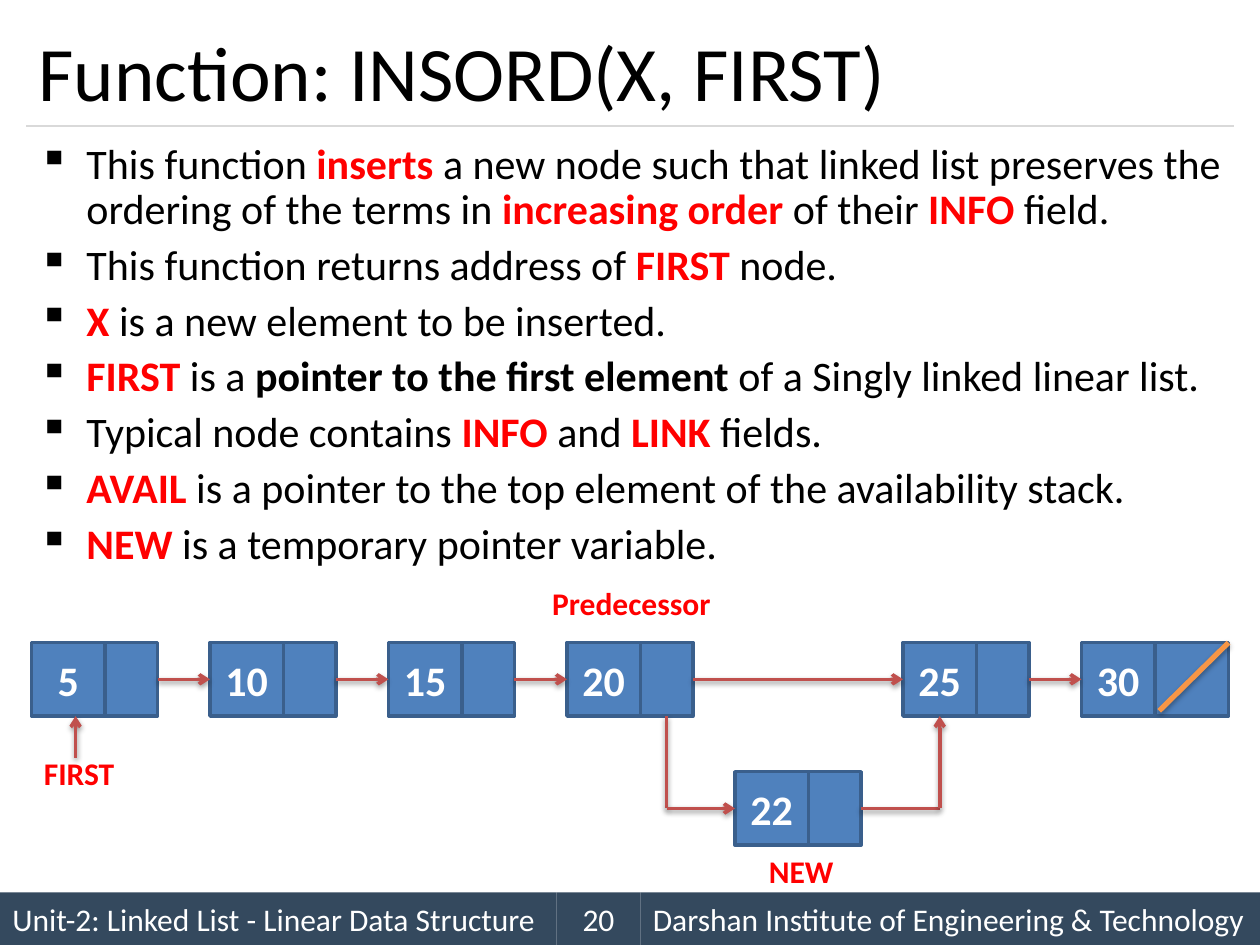
from lxml import etree
from pptx import Presentation
from pptx import util as u
from pptx.dml.color import RGBColor
from pptx.enum import shapes, text
from pptx.oxml import ns

COLUMNS, ROWS = 240, 180
FONT = "Calibri"
BLACK, WHITE, RED = "000000", "FFFFFF", "FF0000"
NAVY, BLUE, EDGE, ARROW, ORANGE, GREY = "34495E", "4F81BD", "3A5F8C", "C0504D", "F79646", "D9D9D9"
MARKS = {"!": (RED, True), "^": (BLACK, True)}
POINTS = [
    "This function |!inserts| a new node such that linked list preserves the "
    "ordering of the terms in |!increasing order |of their |!INFO |field.",
    "This function returns address of |!FIRST |node.",
    "!X| is a new element to be inserted.",
    "!FIRST| is a |^pointer to the first element| of a Singly linked linear list.",
    "Typical node contains |!INFO |and |!LINK |fields.",
    "!AVAIL |is a pointer to the top element of the availability stack.",
    "!NEW |is a temporary pointer variable.",
]
INFO, LINK, HEIGHT = 14, 10, 14
LIST_TOP, NEW_TOP = 122.4, 147
LIST_MIDDLE, LIST_BOTTOM, NEW_MIDDLE = LIST_TOP + HEIGHT / 2, LIST_TOP + HEIGHT, NEW_TOP + HEIGHT / 2
NODES = {"5": 6, "10": 40, "15": 74, "20": 108, "25": 172, "30": 206}
NEW_LEFT = 140


def color(value):
    return RGBColor.from_string(value)


def add_xml(parent, tag, **attributes):
    return etree.SubElement(parent, ns.qn(tag), attributes)


class Slide:
    def __init__(self, deck):
        self.deck = deck
        self.page = deck.slides.add_slide(deck.slide_layouts[6])

    def x(self, column):
        return round(self.deck.slide_width * column / COLUMNS)

    def y(self, row):
        return round(self.deck.slide_height * row / ROWS)

    def area(self, left, top, width, height):
        return self.x(left), self.y(top), self.x(width), self.y(height)

    def style(self, span, size, shade, bold=False):
        span.font.name, span.font.size, span.font.bold = FONT, u.Pt(size), bold
        span.font.color.rgb = color(shade)

    def set_words(self, box, words, size, shade, bold=False, align=text.PP_ALIGN.LEFT):
        box.text_frame.text = words
        box.text_frame.vertical_anchor = text.MSO_ANCHOR.MIDDLE
        para = box.text_frame.paragraphs[0]
        para.alignment = align
        self.style(para.runs[0], size, shade, bold)

    def shadow(self, shape, alpha, blur, distance, degrees):
        effects = add_xml(shape._element.spPr, "a:effectLst")
        if alpha:
            outer = add_xml(effects, "a:outerShdw", blurRad=str(u.Pt(blur)), dist=str(u.Pt(distance)),
                            dir=str(degrees * 60000), rotWithShape="0")
            add_xml(add_xml(outer, "a:srgbClr", val=BLACK), "a:alpha", val=str(alpha * 1000))

    def rectangle(self, area, fill, edge=None):
        box = self.page.shapes.add_shape(shapes.MSO_SHAPE.RECTANGLE, *self.area(*area))
        box.shadow.inherit = False
        box.fill.solid()
        box.fill.fore_color.rgb = color(fill)
        if edge:
            box.line.color.rgb, box.line.width = color(edge), u.Pt(2)
        else:
            box.line.fill.background()
        return box

    def footer(self, left, width, words, align=text.PP_ALIGN.LEFT):
        self.set_words(self.rectangle((left, 170, width, 10), NAVY), words, 18, WHITE, align=align)

    def label(self, area, words, size, shade, bold=False, wrap=False, align=text.PP_ALIGN.LEFT):
        box = self.page.shapes.add_textbox(*self.area(*area))
        box.text_frame.word_wrap = wrap
        self.set_words(box, words, size, shade, bold, align)

    def bullets(self, area, points):
        frame = self.page.shapes.add_textbox(*self.area(*area)).text_frame
        frame.word_wrap = True
        for index, point in enumerate(points):
            para = frame.add_paragraph() if index else frame.paragraphs[0]
            properties = para._p.get_or_add_pPr()
            properties.set("marL", str(u.Inches(0.38)))
            properties.set("indent", str(u.Inches(-0.38)))
            add_xml(add_xml(properties, "a:buClr"), "a:srgbClr", val=BLACK)
            add_xml(properties, "a:buChar", char="▪")
            para.alignment = text.PP_ALIGN.JUSTIFY
            para.line_spacing = 0.9
            if index:
                para.space_before = u.Pt(6)
            for part in point.split("|"):
                shade, bold = MARKS.get(part[0], (BLACK, False))
                span = para.add_run()
                span.text = part.lstrip("!^")
                self.style(span, 24, shade, bold)

    def line(self, start, end, shade=ARROW, width=2, head=False, alpha=38):
        connector = self.page.shapes.add_connector(
            shapes.MSO_CONNECTOR.STRAIGHT, self.x(start[0]), self.y(start[1]), self.x(end[0]), self.y(end[1]))
        connector.line.color.rgb, connector.line.width = color(shade), u.Pt(width)
        if head:
            add_xml(connector.line._ln, "a:tailEnd", type="arrow")
        self.shadow(connector, alpha, 3.1, 1.6, 90)

    def route(self, *stops):
        for index, (start, end) in enumerate(zip(stops, stops[1:])):
            self.line(start, end, head=index == len(stops) - 2)

    def node(self, left, top, value, link=LINK):
        box = self.rectangle((left, top, INFO, HEIGHT), BLUE, EDGE)
        self.set_words(box, value, 24, WHITE, True, text.PP_ALIGN.CENTER)
        self.rectangle((left + INFO, top, link, HEIGHT), BLUE, EDGE)


def main():
    deck = Presentation()
    deck.slide_width, deck.slide_height = u.Inches(10), u.Inches(7.5)
    slide = Slide(deck)
    center = text.PP_ALIGN.CENTER

    slide.footer(0, 106, "Unit-2: Linked List - Linear Data Structure")
    slide.footer(122, 118, "Darshan Institute of Engineering & Technology")
    slide.footer(106, 16, "20", center)
    slide.line((5, 24), (235, 24), GREY, 0.75, alpha=0)
    slide.label((5, 3, 230, 21), "Function: INSORD(X, FIRST)", 44, BLACK, wrap=True)
    slide.bullets((5, 26, 230, 90), POINTS)

    lefts = list(NODES.values())
    for value, left in NODES.items():
        slide.node(left, LIST_TOP, value, INFO if left == lefts[-1] else LINK)
    for left, following in zip(lefts, lefts[1:]):
        slide.route((left + INFO + LINK, LIST_MIDDLE), (following, LIST_MIDDLE))
    slide.line((lefts[-1] + INFO + 0.8, LIST_BOTTOM - 1), (lefts[-1] + 2 * INFO, LIST_TOP), ORANGE, 3, alpha=35)

    slide.node(NEW_LEFT, NEW_TOP, "22")
    out, back = NODES["20"] + INFO + LINK / 2, NODES["25"] + INFO / 2
    slide.route((out, LIST_BOTTOM), (out, NEW_MIDDLE), (NEW_LEFT, NEW_MIDDLE))
    slide.route((NEW_LEFT + INFO + LINK, NEW_MIDDLE), (back, NEW_MIDDLE), (back, LIST_BOTTOM))
    slide.route((14.4, 144.3), (14.4, LIST_BOTTOM))

    slide.label((6, 142.4, 18.4, 9.7), "FIRST", 18, RED, True)
    slide.label((102.8, 110, 35.2, 9.7), "Predecessor", 18, RED, True)
    slide.label((144, 161, 17.2, 9.7), "NEW", 18, RED, True, align=center)
    deck.save("out.pptx")


if __name__ == "__main__":
    main()
